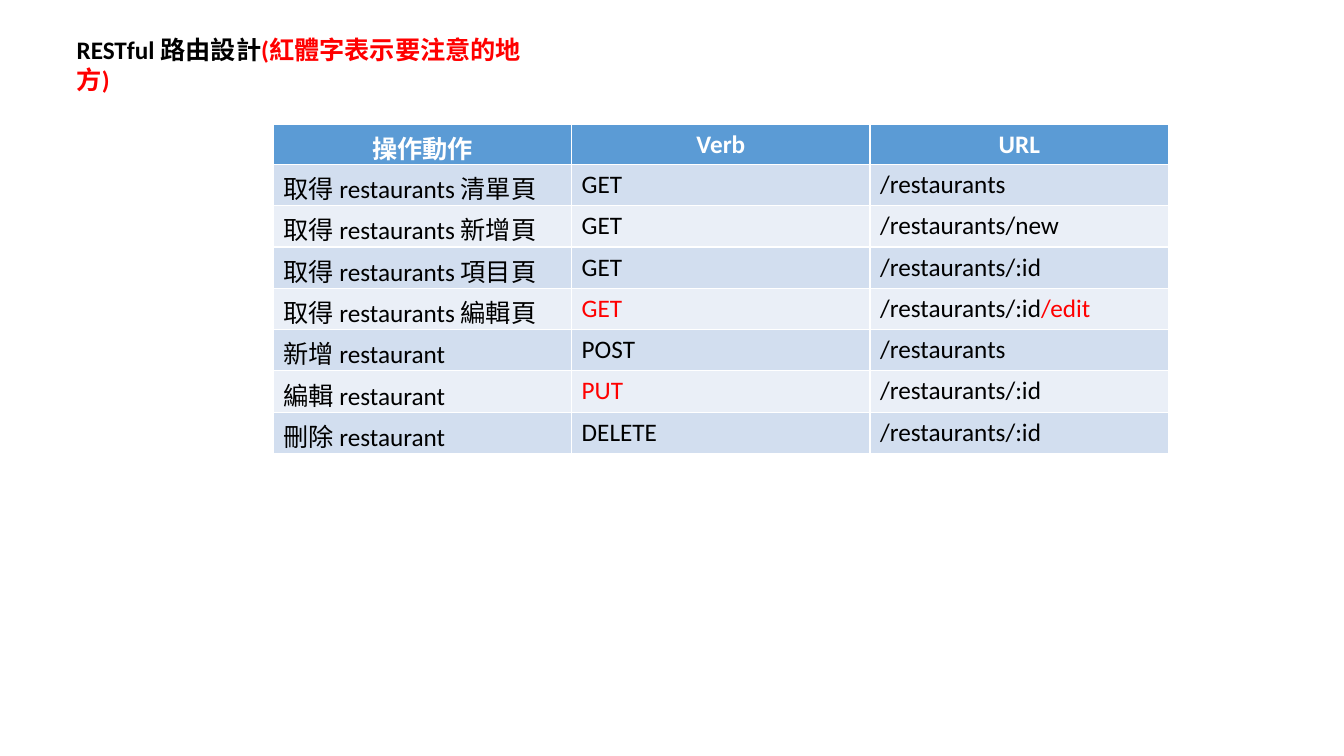
from dataclasses import dataclass

from pptx import Presentation
from pptx import util as u
from pptx.dml.color import RGBColor
from pptx.enum import text

# Content: each text is a list of (words, is_red) runs
TITLE = [("RESTful 路由設計", False), ("(紅體字表示要注意的地方)", True)]
HEADINGS = ["操作動作", "Verb", "URL"]
ROUTES = [
    ("取得 restaurants 清單頁", "GET", "/restaurants"),
    ("取得 restaurants 新增頁", "GET", "/restaurants/new"),
    ("取得 restaurants 項目頁", "GET", "/restaurants/:id"),
    ("取得 restaurants 編輯頁", [("GET", True)],
     [("/restaurants/:id", False), ("/edit", True)]),
    ("新增 restaurant", "POST", "/restaurants"),
    ("編輯 restaurant", [("PUT", True)], "/restaurants/:id"),
    ("刪除 restaurant", "DELETE", "/restaurants/:id"),
]


@dataclass(frozen=True)
class Theme:
    font: str = "Calibri"
    size: int = 18
    ink: str = "000000"
    alert: str = "FF0000"
    heading_ink: str = "FFFFFF"
    heading_fill: str = "5B9BD5"
    bands: tuple = ("D2DEEF", "EAEFF7")


THEME = Theme()

# Layout in inches
SLIDE_W, SLIDE_H = 13.33, 7.5
TITLE_BOX = (0.66, 0.29, 4.9, 0.4)
TABLE_LEFT, TABLE_TOP = 2.71, 1.23
COL_W, HEADING_H, ROUTE_H = 2.96, 0.37, 0.41


def write(tf, runs, color=THEME.ink, bold=False, align=text.PP_ALIGN.LEFT):
    p = tf.paragraphs[0]
    p.alignment = align
    for words, is_red in runs:
        r = p.add_run()
        r.text = words
        r.font.name = THEME.font
        r.font.size = u.Pt(THEME.size)
        r.font.bold = bold
        r.font.color.rgb = RGBColor.from_string(THEME.alert if is_red else color)


def fill_cell(cell, content, fill, **style):
    cell.fill.solid()
    cell.fill.fore_color.rgb = RGBColor.from_string(fill)
    runs = [(content, False)] if isinstance(content, str) else content
    write(cell.text_frame, runs, **style)


def main():
    prs = Presentation()
    prs.slide_width, prs.slide_height = u.Inches(SLIDE_W), u.Inches(SLIDE_H)
    s = prs.slides.add_slide(prs.slide_layouts[5])

    # Title
    title = s.shapes.title
    title.left, title.top, title.width, title.height = map(u.Inches, TITLE_BOX)
    tf = title.text_frame
    tf.word_wrap = True
    tf.vertical_anchor = text.MSO_ANCHOR.TOP
    tf.auto_size = text.MSO_AUTO_SIZE.SHAPE_TO_FIT_TEXT
    write(tf, TITLE, bold=True)

    # Route table
    heights = [HEADING_H] + [ROUTE_H] * len(ROUTES)
    table = s.shapes.add_table(
        len(heights), len(HEADINGS), u.Inches(TABLE_LEFT), u.Inches(TABLE_TOP),
        u.Inches(COL_W * len(HEADINGS)), u.Inches(sum(heights))).table
    for col in table.columns:
        col.width = u.Inches(COL_W)
    for row, height in zip(table.rows, heights):
        row.height = u.Inches(height)

    # Heading row, then banded routes
    for c, heading in enumerate(HEADINGS):
        fill_cell(table.cell(0, c), heading, THEME.heading_fill,
                  color=THEME.heading_ink, bold=True, align=text.PP_ALIGN.CENTER)
    for i, route in enumerate(ROUTES):
        for c, content in enumerate(route):
            fill_cell(table.cell(i + 1, c), content, THEME.bands[i % 2])

    prs.save("out.pptx")


if __name__ == "__main__":
    main()
